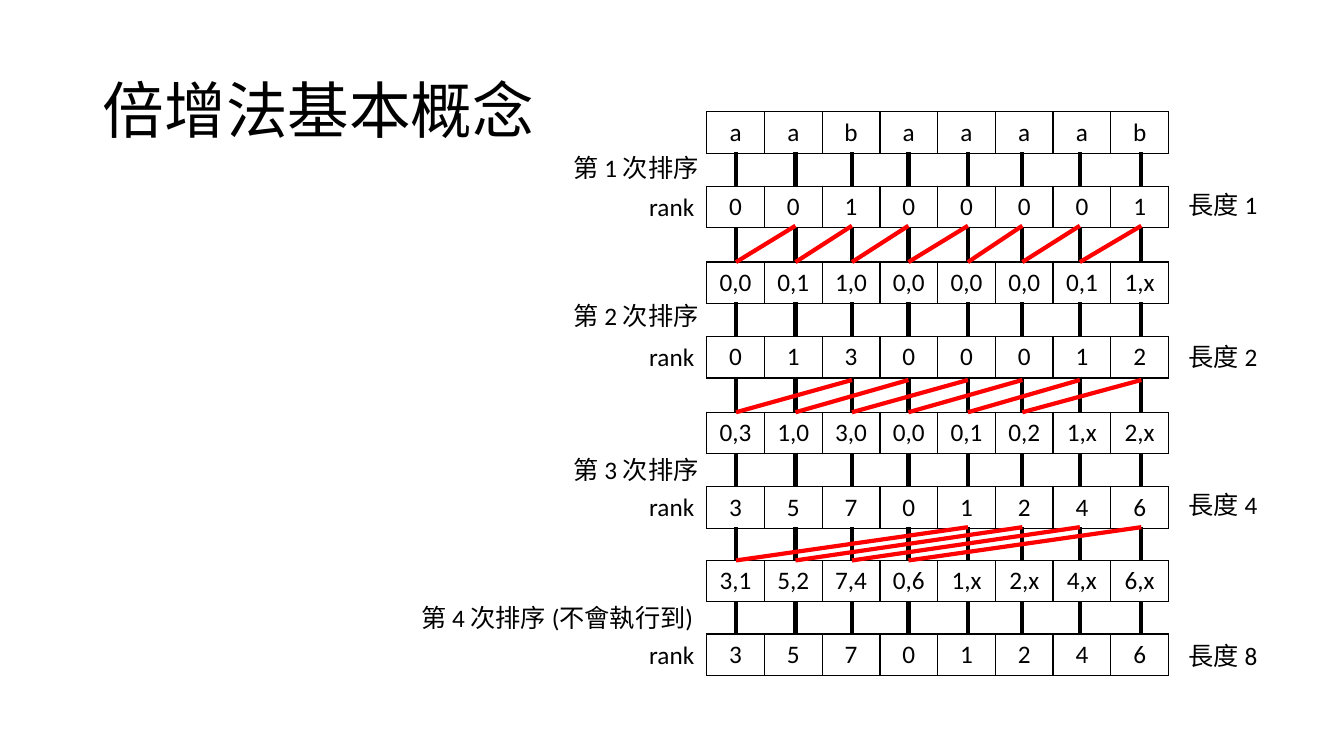
import dataclasses

import lxml.etree
import pptx
import pptx.dml.color
import pptx.enum.shapes
import pptx.enum.text
import pptx.oxml.ns
import pptx.util

Inches = pptx.util.Inches
Pt = pptx.util.Pt
qn = pptx.oxml.ns.qn


@dataclasses.dataclass
class Theme:
    font: str = "Calibri"
    ink: str = "000000"
    pair: str = "FF0000"
    title_size: int = 44
    body_size: int = 18
    link_width: int = 3
    border_width: int = 1


class Deck:
    def __init__(self, prs, theme):
        self.theme = theme
        self.s = prs.slides.add_slide(prs.slide_layouts[5])

    def style(self, p, size):
        for r in p.runs:
            r.font.name = self.theme.font
            r.font.size = Pt(size)
            r.font.color.rgb = pptx.dml.color.RGBColor.from_string(self.theme.ink)

    def title(self, text, left, top, width, height):
        sp = self.s.shapes.title
        sp.left, sp.top = Inches(left), Inches(top)
        sp.width, sp.height = Inches(width), Inches(height)
        tf = sp.text_frame
        tf.text = text
        tf.vertical_anchor = pptx.enum.text.MSO_ANCHOR.MIDDLE
        p = tf.paragraphs[0]
        p.alignment = pptx.enum.text.PP_ALIGN.LEFT
        p.line_spacing = 0.9
        self.style(p, self.theme.title_size)

    def label(self, text, left, top, width, height=0.4, wrap=True):
        sp = self.s.shapes.add_textbox(
            Inches(left), Inches(top), Inches(width), Inches(height))
        tf = sp.text_frame
        tf.word_wrap = wrap
        tf.text = text
        self.style(tf.paragraphs[0], self.theme.body_size)

    def border(self, cell):
        tc_pr = cell._tc.get_or_add_tcPr()
        for i, side in enumerate(("lnL", "lnR", "lnT", "lnB")):
            ln = lxml.etree.Element(qn(f"a:{side}"), w=str(Pt(self.theme.border_width)))
            fill = lxml.etree.SubElement(ln, qn("a:solidFill"))
            lxml.etree.SubElement(fill, qn("a:srgbClr"), val=self.theme.ink)
            tc_pr.insert(i, ln)

    def row(self, values, left, top, width, height):
        table = self.s.shapes.add_table(
            1, len(values), Inches(left), Inches(top), Inches(width), Inches(height)).table
        table.first_row = table.horz_banding = False
        for i, value in enumerate(values):
            table.columns[i].width = Inches(width / len(values))
            cell = table.cell(0, i)
            cell.text = value
            cell.vertical_anchor = pptx.enum.text.MSO_ANCHOR.MIDDLE
            cell.fill.background()
            self.border(cell)
            p = cell.text_frame.paragraphs[0]
            p.alignment = pptx.enum.text.PP_ALIGN.CENTER
            self.style(p, self.theme.body_size)

    def link(self, x1, y1, x2, y2, color):
        c = self.s.shapes.add_connector(
            pptx.enum.shapes.MSO_CONNECTOR.STRAIGHT,
            Inches(x1), Inches(y1), Inches(x2), Inches(y2))
        c.line.color.rgb = pptx.dml.color.RGBColor.from_string(color)
        c.line.width = Pt(self.theme.link_width)
        lxml.etree.SubElement(c._element.spPr, qn("a:effectLst"))


ROWS = [
    (1.11, "a a b a a a a b"),
    (1.85, "0 0 1 0 0 0 0 1"),
    (2.6, "0,0 0,1 1,0 0,0 0,0 0,0 0,1 1,x"),
    (3.34, "0 1 3 0 0 0 1 2"),
    (4.09, "0,3 1,0 3,0 0,0 0,1 0,2 1,x 2,x"),
    (4.83, "3 5 7 0 1 2 4 6"),
    (5.56, "3,1 5,2 7,4 0,6 1,x 2,x 4,x 6,x"),
    (6.29, "3 5 7 0 1 2 4 6"),
]
CENTERS = [7.3, 7.89, 8.45, 9.01, 9.6, 10.14, 10.71, 11.32]
PAIRINGS = {1: (1, 2.24), 3: (2, 3.77), 5: (4, 5.23)}
SORT_LABELS = [
    ("第 1 次排序", 5.59, 1.46, 1.46),
    ("第 2 次排序", 5.59, 2.93, 1.46),
    ("第 3 次排序", 5.59, 4.46, 1.46),
    ("第 4 次排序 (不會執行到)", 4.08, 5.93, 2.93),
]
LENGTH_TOPS = [1.83, 3.34, 4.81, 6.3]
ROW_HEIGHT = 0.41


def main():
    prs = pptx.Presentation()
    prs.slide_width, prs.slide_height = Inches(13.33), Inches(7.5)
    theme = Theme()
    deck = Deck(prs, theme)
    deck.title("倍增法基本概念", 0.92, 0.4, 11.5, 1.45)

    for top, values in ROWS:
        deck.row(values.split(), 7.01, top, 4.58, ROW_HEIGHT)

    for i, ((top, _), (next_top, _)) in enumerate(zip(ROWS, ROWS[1:])):
        for x in CENTERS:
            deck.link(x, top + ROW_HEIGHT - 0.01, x, next_top, theme.ink)
        if i in PAIRINGS:
            shift, pair_top = PAIRINGS[i]
            for x, partner in zip(CENTERS, CENTERS[shift:]):
                deck.link(partner, pair_top, x, next_top, theme.pair)

    for top, _ in ROWS[1::2]:
        deck.label("rank", 6.34, top, 0.65, wrap=False)
    for text, left, top, width in SORT_LABELS:
        deck.label(text, left, top, width)
    for i, top in enumerate(LENGTH_TOPS):
        deck.label(f"長度 {2 ** i}", 11.69, top, 0.89)

    prs.save("out.pptx")


if __name__ == "__main__":
    main()
